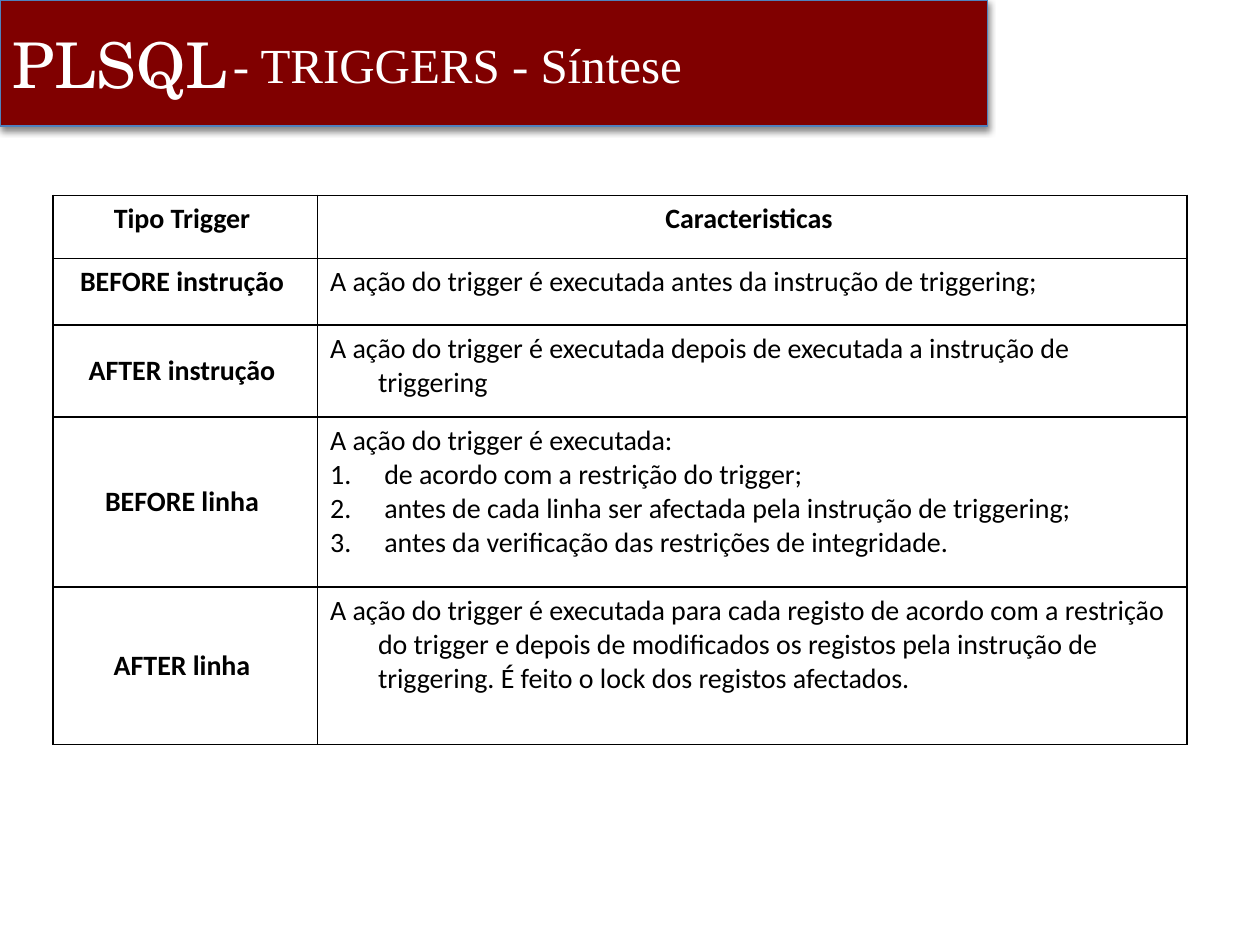
from lxml.etree import SubElement
from pptx import Presentation
from pptx.dml.color import RGBColor
from pptx.enum.shapes import MSO_SHAPE
from pptx.enum.text import MSO_ANCHOR as Anchor, PP_ALIGN as Align
from pptx.oxml import parse_xml
from pptx.oxml.ns import nsdecls, qn
from pptx.util import Inches, Pt

COLORS = {"banner": "800000", "outline": "4F81BD", "ink": "000000", "paper": "FFFFFF"}
INDENT = Inches(0.38)
COLUMN_WIDTHS = [2.1, 6.9]
ROW_HEIGHTS = [0.5, 0.53, 0.73, 1.35, 1.25]
HEADERS = ["Tipo Trigger ", "Caracteristicas "]
# Trigger type, its anchor, description, numbered points
TRIGGERS = [
    ("BEFORE instrução ", Anchor.TOP,
     "A ação do trigger é executada antes da instrução de triggering;", []),
    ("AFTER instrução ", Anchor.MIDDLE,
     "A ação do trigger é executada depois de executada a instrução de triggering", []),
    ("BEFORE linha ", Anchor.MIDDLE, "A ação do trigger é executada:", [
        " de acordo com a restrição do trigger;",
        " antes de cada linha ser afectada pela instrução de triggering;",
        " antes da verificação das restrições de integridade."]),
    ("AFTER linha ", Anchor.MIDDLE,
     "A ação do trigger é executada para cada registo de acordo com a restrição do trigger "
     "e depois de modificados os registos pela instrução de triggering. "
     "É feito o lock dos registos afectados.", []),
]


def color(name):
    return RGBColor.from_string(COLORS[name])


def style_runs(paragraph, font, size, ink, bold=False):
    for run in paragraph.runs:
        run.font.name = font
        run.font.size = Pt(size)
        run.font.bold = bold
        run.font.color.rgb = color(ink)


def set_heading(shape, text, font, size):
    frame = shape.text_frame
    frame.word_wrap = True
    frame.vertical_anchor = Anchor.MIDDLE
    frame.text = text
    frame.paragraphs[0].alignment = Align.LEFT
    style_runs(frame.paragraphs[0], font, size, "paper")


def add_shadow(shape):
    shape._element.spPr.append(parse_xml(
        f'<a:effectLst {nsdecls("a")}>'
        f'<a:outerShdw blurRad="{Pt(4)}" dist="{Pt(2)}" dir="5400000" rotWithShape="0">'
        f'<a:srgbClr val="{COLORS["ink"]}"><a:alpha val="45000"/></a:srgbClr>'
        '</a:outerShdw></a:effectLst>'))


def add_banner(slide, left, top, width, height):
    banner = slide.shapes.add_shape(MSO_SHAPE.RECTANGLE, left, top, width, height)
    banner.fill.solid()
    banner.fill.fore_color.rgb = color("banner")
    banner.line.color.rgb = color("outline")
    banner.line.width = Pt(0.75)
    add_shadow(banner)
    set_heading(banner, "PLSQL", "TeX Gyre Schola", 36)


def add_title(slide, left, top, width, height):
    title = slide.shapes.add_textbox(left, top, width, height)
    set_heading(title, "- TRIGGERS - Síntese", "Times New Roman", 28)


def add_borders(cell):
    properties = cell._tc.get_or_add_tcPr()
    for position, side in enumerate(("lnL", "lnR", "lnT", "lnB")):
        properties.insert(position, parse_xml(
            f'<a:{side} {nsdecls("a")} w="{Pt(1)}"><a:solidFill>'
            f'<a:srgbClr val="{COLORS["ink"]}"/></a:solidFill></a:{side}>'))


def fill_cell(cell, lines, label=False, anchor=Anchor.TOP):
    cell.fill.solid()
    cell.fill.fore_color.rgb = color("paper")
    add_borders(cell)
    cell.vertical_anchor = anchor
    cell.text_frame.text = "\n".join(lines)
    for index, paragraph in enumerate(cell.text_frame.paragraphs):
        paragraph.alignment = Align.CENTER if label else Align.LEFT
        style_runs(paragraph, "Calibri", 16, "ink", label)
        # Hanging indent, with numbers after the opening line
        properties = paragraph._p.get_or_add_pPr()
        properties.set("marL", str(INDENT))
        properties.set("indent", str(-INDENT))
        if index:
            SubElement(properties, qn("a:buAutoNum"), type="arabicPeriod")
        else:
            SubElement(properties, qn("a:buNone"))


def add_trigger_table(slide, left, top, width, height):
    table = slide.shapes.add_table(
        len(ROW_HEIGHTS), len(COLUMN_WIDTHS), left, top, width, height).table
    for column, column_width in zip(table.columns, COLUMN_WIDTHS):
        column.width = Inches(column_width)
    for row, row_height in zip(table.rows, ROW_HEIGHTS):
        row.height = Inches(row_height)
    for column, header in enumerate(HEADERS):
        fill_cell(table.cell(0, column), [header], label=True)
    for row, (trigger, anchor, description, points) in enumerate(TRIGGERS, 1):
        fill_cell(table.cell(row, 0), [trigger], label=True, anchor=anchor)
        fill_cell(table.cell(row, 1), [description, *points])


def main():
    deck = Presentation()
    deck.slide_width, deck.slide_height = Inches(10), Inches(7.5)
    slide = deck.slides.add_slide(deck.slide_layouts[6])
    add_banner(slide, 0, 0, Inches(7.84), Inches(1))
    add_trigger_table(slide, Inches(0.42), Inches(1.55),
                      Inches(sum(COLUMN_WIDTHS)), Inches(sum(ROW_HEIGHTS)))
    add_title(slide, Inches(1.75), Inches(0.01), Inches(8.25), Inches(1))
    deck.save("out.pptx")


if __name__ == "__main__":
    main()
